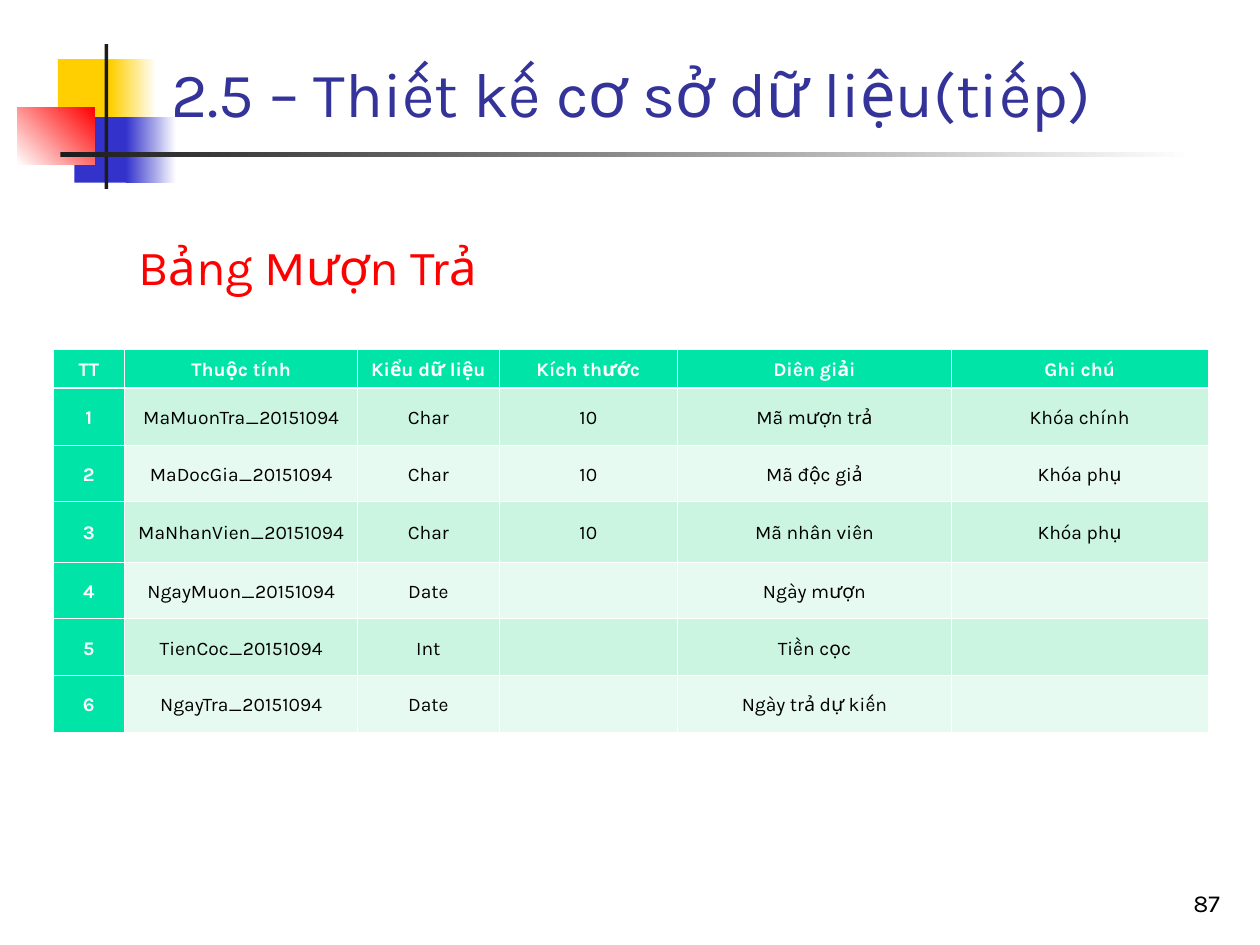
from lxml import etree
from pptx import Presentation
from pptx.dml.color import RGBColor
from pptx.enum.shapes import MSO_SHAPE
from pptx.enum.text import MSO_ANCHOR, PP_ALIGN
from pptx.oxml.ns import qn
from pptx.util import Inches, Pt

RECTANGLE = MSO_SHAPE.RECTANGLE
TOP, MIDDLE, BOTTOM = MSO_ANCHOR.TOP, MSO_ANCHOR.MIDDLE, MSO_ANCHOR.BOTTOM
LEFT, CENTER, RIGHT = PP_ALIGN.LEFT, PP_ALIGN.CENTER, PP_ALIGN.RIGHT

FONT = "Karla"
WHITE = RGBColor(0xFF, 0xFF, 0xFF)
BLACK = RGBColor(0x00, 0x00, 0x00)
CHARCOAL = RGBColor(0x1C, 0x1C, 0x1C)
YELLOW = RGBColor(0xFF, 0xCF, 0x01)
BLUE = RGBColor(0x33, 0x33, 0xCC)
NAVY = RGBColor(0x33, 0x33, 0x99)
RED = RGBColor(0xFF, 0x00, 0x00)
GREEN = RGBColor(0x00, 0xE4, 0xA8)
BANDS = RGBColor(0xCB, 0xF5, 0xE1), RGBColor(0xE7, 0xFA, 0xF1)

TITLE = "2.5 – Thiết kế cơ sở dữ liệu(tiếp)"
SUBTITLE = "Bảng Mượn Trả"
PAGE_NUMBER = "87"

# Left, top, width, height, colours from start to end, gradient angle
ORNAMENTS = [
    (0.46, 0.47, 0.48, 0.52, [YELLOW], 0),
    (0.88, 0.47, 0.36, 0.52, [YELLOW, WHITE], 0),
    (0.59, 0.93, 0.46, 0.52, [BLUE], 0),
    (1.0, 0.93, 0.4, 0.52, [BLUE, WHITE], 0),
    (0.14, 0.85, 0.61, 0.46, [WHITE, RED], 45),
    (0.83, 0.35, 0.03, 1.15, [CHARCOAL], 0),
    (0.48, 1.21, 9.0, 0.04, [CHARCOAL, WHITE], 0),
]

HEADERS = ["TT", "Thuộc tính", "Kiểu dữ liệu", "Kích thước", "Diên giải", "Ghi chú"]
ATTRIBUTES = [
    ("MaMuonTra_20151094", "Char", "10", "Mã mượn trả", "Khóa chính"),
    ("MaDocGia_20151094", "Char", "10", "Mã độc giả", "Khóa phụ"),
    ("MaNhanVien_20151094", "Char", "10", "Mã nhân viên", "Khóa phụ"),
    ("NgayMuon_20151094", "Date", "", "Ngày mượn", ""),
    ("TienCoc_20151094", "Int", "", "Tiền cọc", ""),
    ("NgayTra_20151094", "Date", "", "Ngày trả dự kiến", ""),
]
COLUMN_WIDTHS = [0.57, 1.85, 1.12, 1.42, 2.17, 2.04]
ROW_HEIGHTS = [0.3, 0.45, 0.45, 0.48, 0.45, 0.45, 0.45]
THIN, THICK = 0.45, 1.47


def write_text(text_frame, text, *, size, color, bold=False, align=LEFT,
               anchor=TOP, line_spacing=1.0):
    text_frame.word_wrap = True
    text_frame.vertical_anchor = anchor
    paragraph = text_frame.paragraphs[0]
    paragraph.text = text
    paragraph.alignment = align
    paragraph.line_spacing = line_spacing
    paragraph.font.name = FONT
    paragraph.font.size = Pt(size)
    paragraph.font.bold = bold
    paragraph.font.color.rgb = color
    for run in paragraph.runs:
        run.font.name = FONT


def add_rectangle(slide, box, colors, angle=0):
    """Add a borderless rectangle, with a gradient when two colours are given."""
    shape = slide.shapes.add_shape(RECTANGLE, *map(Inches, box))
    shape.shadow.inherit = False
    shape.line.fill.background()
    if len(colors) == 1:
        shape.fill.solid()
        shape.fill.fore_color.rgb = colors[0]
    else:
        shape.fill.gradient()
        shape.fill.gradient_angle = angle
        for stop, color in zip(shape.fill.gradient_stops, colors):
            stop.color.rgb = color
    return shape


def add_text_box(slide, box, text, **text_format):
    text_box = slide.shapes.add_textbox(*map(Inches, box))
    write_text(text_box.text_frame, text, **text_format)


def set_borders(cell, widths):
    """Draw white left, right, top and bottom borders, in that order."""
    properties = cell._tc.get_or_add_tcPr()
    for index, (tag, width) in enumerate(zip(("a:lnL", "a:lnR", "a:lnT", "a:lnB"), widths)):
        line = etree.Element(qn(tag), w=str(Pt(width)))
        fill = etree.SubElement(line, qn("a:solidFill"))
        etree.SubElement(fill, qn("a:srgbClr"), val=str(WHITE))
        properties.insert(index, line)


def add_attribute_table(slide):
    rows = [HEADERS] + [(str(number), *values)
                        for number, values in enumerate(ATTRIBUTES, start=1)]
    table = slide.shapes.add_table(
        len(rows), len(HEADERS), Inches(0.42), Inches(2.77),
        Inches(sum(COLUMN_WIDTHS)), Inches(sum(ROW_HEIGHTS))).table
    table.first_col = True
    for column, width in zip(table.columns, COLUMN_WIDTHS):
        column.width = Inches(width)
    for row, height in zip(table.rows, ROW_HEIGHTS):
        row.height = Inches(height)

    for row_index, values in enumerate(rows):
        top_width = THICK if row_index == 1 else THIN
        bottom_width = THICK if row_index == 0 else THIN
        for column_index, value in enumerate(values):
            cell = table.cell(row_index, column_index)
            heading = row_index == 0 or column_index == 0
            cell.margin_left = cell.margin_right = Inches(0.08)
            cell.margin_top = cell.margin_bottom = Inches(0.05)
            cell.fill.solid()
            cell.fill.fore_color.rgb = GREEN if heading else BANDS[(row_index - 1) % 2]
            write_text(cell.text_frame, value, size=11, bold=heading,
                       color=WHITE if heading else BLACK,
                       align=CENTER, line_spacing=1.15)
            cell.vertical_anchor = MIDDLE
            set_borders(cell, (THIN, THIN, top_width, bottom_width))


def main():
    presentation = Presentation()
    presentation.slide_width = Inches(10)
    presentation.slide_height = Inches(7.5)
    slide = presentation.slides.add_slide(presentation.slide_layouts[6])

    for *box, colors, angle in ORNAMENTS:
        add_rectangle(slide, box, colors, angle)
    add_text_box(slide, (1.26, 0.23, 8.52, 0.85), TITLE,
                 size=36, color=NAVY, anchor=BOTTOM)
    add_attribute_table(slide)
    add_text_box(slide, (7.7, 6.83, 2.08, 0.5), PAGE_NUMBER,
                 size=14, color=BLACK, align=RIGHT, anchor=BOTTOM)

    subtitle = add_rectangle(slide, (1, 1.83, 3.5, 0.58), [WHITE])
    subtitle.line.color.rgb = WHITE
    subtitle.line.width = Pt(0.75)
    write_text(subtitle.text_frame, SUBTITLE, size=28, color=RED)

    presentation.save("out.pptx")


if __name__ == "__main__":
    main()
